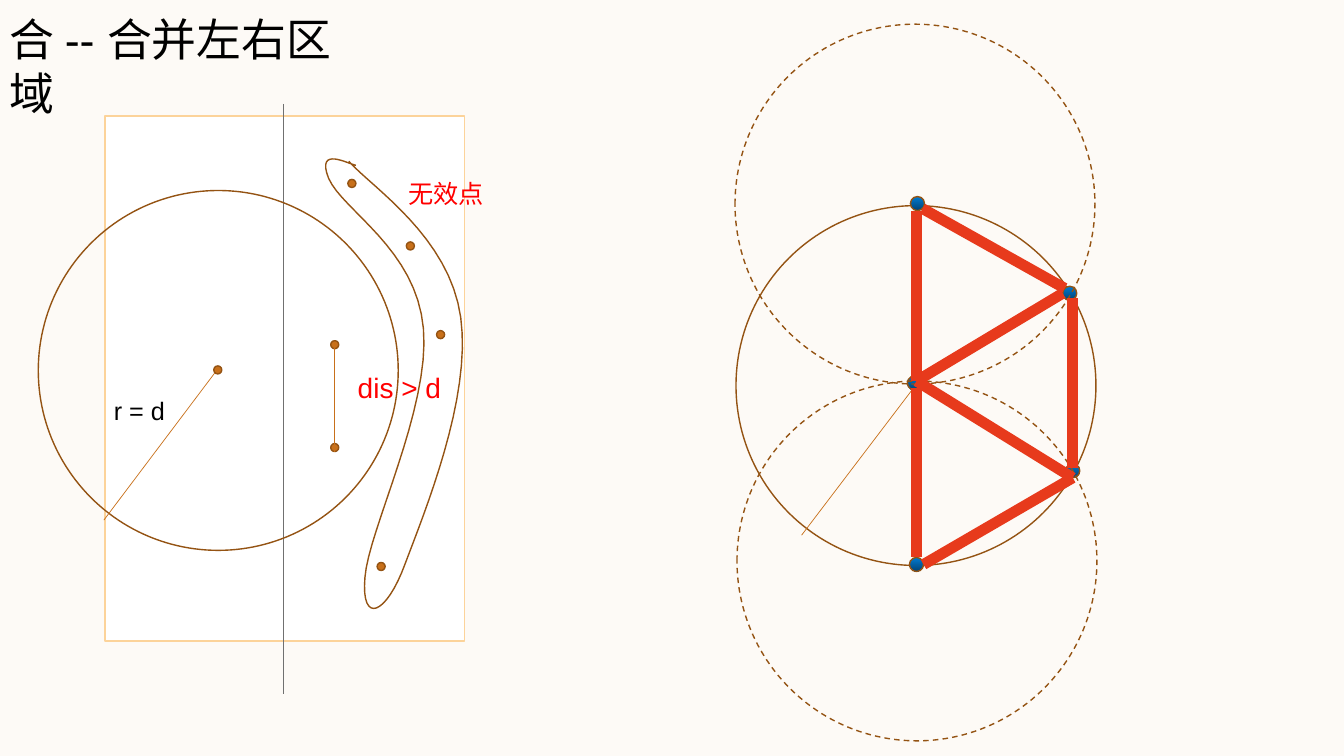
"""Build the slide on merging the left and right regions of a closest-pair search."""
from lxml import etree
from pptx import Presentation
from pptx import util as u
from pptx.dml.color import RGBColor
from pptx.enum import dml, shapes, text
from pptx.oxml import ns

CREAM = RGBColor(0xFD, 0xFA, 0xF6)
WHITE = RGBColor(0xFF, 0xFF, 0xFF)
BLACK = RGBColor(0x00, 0x00, 0x00)
GRAY = RGBColor(0x70, 0x70, 0x70)
PEACH = RGBColor(0xFC, 0xD3, 0x9A)
ORANGE = RGBColor(0xC8, 0x70, 0x1A)
BROWN = RGBColor(0x94, 0x53, 0x13)
RED = RGBColor(0xFF, 0x00, 0x00)
SCARLET = RGBColor(0xE7, 0x3A, 0x1C)
BLUE = RGBColor(0x00, 0x7B, 0xD3)
NAVY = RGBColor(0x03, 0x43, 0x73)

CIRCLE = 3.57
DOT = 0.08
VERTEX = 0.14
CURVE_STEPS = 16

LEFT_DOTS = [(2.12, 3.63), (3.45, 1.78), (4.03, 2.4), (3.74, 5.58),
             (3.28, 3.38), (4.33, 3.28), (3.28, 4.4)]
VERTICES = [(9.03, 1.95), (9, 3.73), (9.02, 5.53), (10.54, 2.84), (10.57, 4.6)]
EDGES = [((9.09, 2.09), (9.09, 3.78)), ((9.09, 3.85), (9.09, 5.53)),
         ((9.15, 2.07), (10.56, 2.86)), ((10.54, 2.91), (9.09, 3.78)),
         ((9.09, 3.78), (10.64, 4.74)), ((10.64, 4.74), (9.16, 5.6)),
         ((10.64, 2.96), (10.64, 4.64))]
LOOP_START = (3.53, 1.64)
LOOP_CURVES = [
    ((3.46, 1.63), (3.13, 1.44), (3.26, 1.77)),
    ((3.4, 2.09), (4.13, 2.47), (4.2, 3.26)),
    ((4.27, 4.05), (3.65, 5.27), (3.62, 5.73)),
    ((3.58, 6.2), (3.83, 6.11), (4.02, 5.59)),
    ((4.21, 5.08), (4.68, 3.95), (4.57, 3.15)),
    ((4.46, 2.35), (3.69, 1.86), (3.46, 1.6)),
]


def length(inches):
    """Return a length in inches as centimetres."""
    return u.Cm(inches * 2.54)


def set_values(target, values):
    """Set every named format value on the target."""
    for name, value in values.items():
        setattr(target, name, value)


def style_shape(shape, fill=None, line=BROWN, dashed=False):
    """Give a shape its fill and outline and remove its shadow."""
    shape.shadow.inherit = False
    if fill is None:
        shape.fill.background()
    else:
        shape.fill.solid()
        shape.fill.fore_color.rgb = fill
    shape.line.color.rgb = line
    shape.line.width = u.Pt(1)
    if dashed:
        shape.line.dash_style = dml.MSO_LINE.DASH


def add_preset(page, kind, left, top, width, height, **style):
    """Add a styled preset shape."""
    shape = page.shapes.add_shape(kind, *map(length, (left, top, width, height)))
    style_shape(shape, **style)
    return shape


def add_circle(page, left, top, size=CIRCLE, **style):
    """Add a circle by its corner and diameter."""
    return add_preset(page, shapes.MSO_SHAPE.OVAL, left, top, size, size, **style)


def add_vertex(page, left, top):
    """Add a blue vertex shaded from top to bottom."""
    fill = add_circle(page, left, top, VERTEX).fill
    fill.gradient()
    fill.gradient_angle = 270
    for stop, position, color in zip(fill.gradient_stops, (0, 1), (BLUE, NAVY)):
        stop.position = position
        stop.color.rgb = color


def add_line(page, start, end, color=ORANGE, width=0.5):
    """Add a straight line without a shadow."""
    line = page.shapes.add_connector(
        shapes.MSO_CONNECTOR.STRAIGHT, *map(length, (*start, *end)))
    line.line.color.rgb = color
    line.line.width = u.Pt(width)
    etree.SubElement(line.element.spPr, ns.qn("a:effectLst"))


def add_label(page, words, frame, size, color, **layout):
    """Add a one-paragraph text box."""
    box = page.shapes.add_textbox(*map(length, frame))
    set_values(box.text_frame, {
        "word_wrap": True, "auto_size": text.MSO_AUTO_SIZE.SHAPE_TO_FIT_TEXT, **layout})
    span = box.text_frame.paragraphs[0].add_run()
    span.text = words
    set_values(span.font, {"name": "Arial", "size": u.Pt(size)})
    span.font.color.rgb = color


def bezier_points(start, curves):
    """Return points along a chain of cubic curves."""
    points = []
    for first, second, end in curves:
        for step in range(1, CURVE_STEPS + 1):
            t = step / CURVE_STEPS
            weights = ((1 - t) ** 3, 3 * t * (1 - t) ** 2, 3 * t ** 2 * (1 - t), t ** 3)
            points.append(tuple(
                length(sum(w * c for w, c in zip(weights, axis)))
                for axis in zip(start, first, second, end)))
        start = end
    return points


def add_loop(page):
    """Add the curved outline around the invalid points."""
    builder = page.shapes.build_freeform(*map(length, LOOP_START))
    builder.add_line_segments(bezier_points(LOOP_START, LOOP_CURVES), close=False)
    style_shape(builder.convert_to_shape())


def draw_regions(page):
    """Draw the two regions with the search circle on the left."""
    add_preset(page, shapes.MSO_SHAPE.RECTANGLE, 1.04, 1.15, 3.57, 5.21,
               fill=WHITE, line=PEACH)
    add_line(page, (2.81, 1.03), (2.81, 6.89), GRAY)
    add_circle(page, 0.38, 1.89)
    for left, top in LEFT_DOTS:
        add_circle(page, left, top, DOT, fill=ORANGE)
    add_line(page, (2.13, 3.7), (1.03, 5.16))
    add_label(page, "r = d", (1.03, 3.87, 1.85, 0.4), 18, BLACK)
    add_loop(page)
    add_label(page, "无效点", (3.95, 1.72, 1.86, 0.4), 18, RED)


def draw_hexagon(page):
    """Draw the half hexagon inside overlapping circles on the right."""
    add_circle(page, 9.05, 3.78, DOT, fill=ORANGE)
    add_circle(page, 7.3, 2.04)
    add_line(page, (9.06, 3.85), (7.95, 5.31))
    add_line(page, (9.09, 2.04), (9.09, 5.6))
    for left, top in VERTICES:
        add_vertex(page, left, top)
    for left, top in ((7.29, 0.24), (7.31, 3.78)):
        add_circle(page, left, top, dashed=True)


def main():
    """Build and save the deck."""
    deck = Presentation()
    set_values(deck, {"slide_width": length(13.33), "slide_height": length(7.5)})
    page = deck.slides.add_slide(deck.slide_layouts[6])
    page.background.fill.solid()
    page.background.fill.fore_color.rgb = CREAM
    add_label(page, "合 -- 合并左右区域", (0, 0.07, 3.85, 0.64), 32, BLACK,
              margin_right=length(0.3), auto_size=text.MSO_AUTO_SIZE.NONE)
    draw_regions(page)
    draw_hexagon(page)
    add_line(page, (3.32, 3.45), (3.32, 4.48))
    add_label(page, "dis > d", (3.45, 3.63, 1.07, 0.44), 20, RED)
    for start, end in EDGES:
        add_line(page, start, end, SCARLET, 7.75)
    deck.save("out.pptx")


if __name__ == "__main__":
    main()
